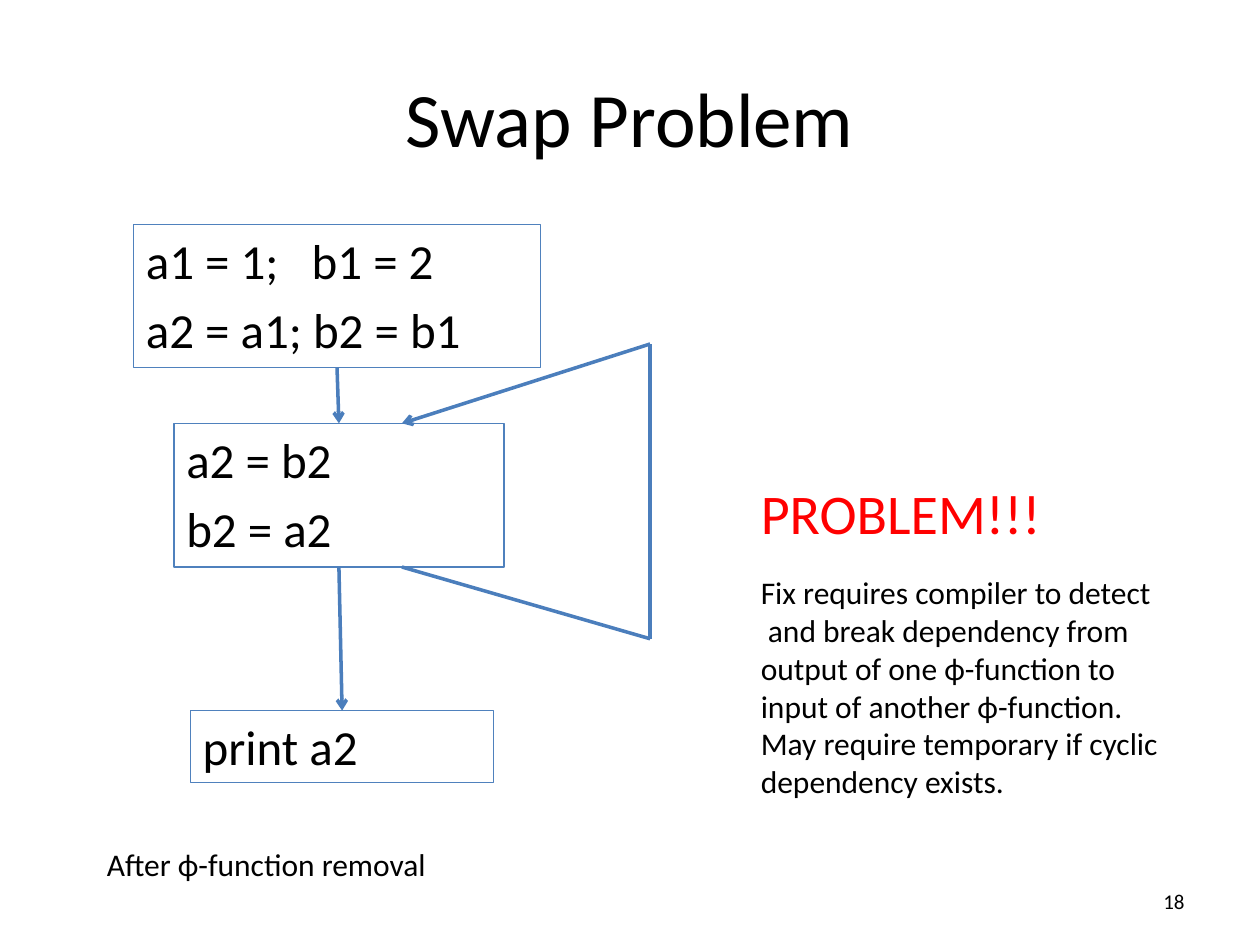
from lxml import etree
from pptx import Presentation
from pptx.dml.color import RGBColor
from pptx.enum.shapes import MSO_CONNECTOR, MSO_SHAPE
from pptx.enum.text import MSO_ANCHOR, PP_ALIGN
from pptx.oxml.ns import qn
from pptx.util import Inches, Pt

LEFT, CENTER, RIGHT = PP_ALIGN.LEFT, PP_ALIGN.CENTER, PP_ALIGN.RIGHT
TOP, MIDDLE = MSO_ANCHOR.TOP, MSO_ANCHOR.MIDDLE
RECT, LINE = MSO_SHAPE.RECTANGLE, MSO_CONNECTOR.STRAIGHT

FONT = "Calibri"
COLORS = {"text": "000000", "alert": "FF0000", "border": "4F81BD", "arrow": "4B7EBC"}

LABELS = [
    (["Swap Problem"], (0.5, 0.3, 9, 1.25), 44, "text", CENTER, MIDDLE, True),
    (["18"], (7.17, 6.95, 2.33, 0.4), 12, "text", RIGHT, MIDDLE, True),
    (["After ϕ-function removal"], (0.75, 6.66, 3.17, 0.4), 18, "text", LEFT, TOP, False),
    (["PROBLEM!!!"], (5.94, 3.75, 2.6, 0.64), 32, "alert", LEFT, TOP, False),
    (["Fix requires compiler to detect",
      " and break dependency from",
      "output of one ϕ-function to",
      "input of another ϕ-function.",
      "May require temporary if cyclic",
      "dependency exists."], (5.94, 4.5, 4, 1.92), 18, "text", LEFT, TOP, False),
]
BLOCKS = [
    (["a1 = 1;   b1 = 2", "a2 = a1; b2 = b1"], (1.06, 1.78, 3.23, 1.14)),
    (["a2 = b2", "b2 = a2"], (1.38, 3.36, 2.62, 1.14)),
    (["print a2"], (1.51, 5.64, 2.41, 0.57)),
]
LOOP = [(3.19, 4.5), (5.16, 5.07), (5.16, 2.73), (3.19, 3.36)]


def color(name):
    return RGBColor.from_string(COLORS[name])


def write(shape, lines, size, tint="text", align=LEFT, anchor=TOP, wrap=True, gap=0):
    frame = shape.text_frame
    frame.word_wrap = wrap
    frame.vertical_anchor = anchor
    frame.text = "\n".join(lines)
    for i, para in enumerate(frame.paragraphs):
        para.alignment = align
        para.space_before = Pt(gap if i else 0)
        para.font.name = FONT
        para.font.size = Pt(size)
        para.font.color.rgb = color(tint)


def add_block(slide, lines, box):
    block = slide.shapes.add_shape(RECT, *map(Inches, box))
    block.shadow.inherit = False
    block.fill.background()
    block.line.color.rgb = color("border")
    block.line.width = Pt(0.75)
    write(block, lines, 28, gap=5.6)
    return block


def add_line(slide, start, end, arrow):
    line = slide.shapes.add_connector(LINE, *map(Inches, (*start, *end)))
    line.line.color.rgb = color("arrow")
    line.line.width = Pt(2)
    if arrow:
        etree.SubElement(line.line._get_or_add_ln(), qn("a:tailEnd"), type="arrow")
    etree.SubElement(line._element.spPr, qn("a:effectLst"))
    return line


def main():
    deck = Presentation()
    deck.slide_width, deck.slide_height = Inches(10), Inches(7.5)
    slide = deck.slides.add_slide(deck.slide_layouts[6])

    for lines, box, *style in LABELS:
        write(slide.shapes.add_textbox(*map(Inches, box)), lines, *style)

    blocks = [add_block(slide, *block) for block in BLOCKS]
    for upper, lower in zip(blocks, blocks[1:]):
        link = add_line(slide, (0, 0), (0, 0), True)
        link.begin_connect(upper, 2)
        link.end_connect(lower, 0)

    for start, end in zip(LOOP, LOOP[1:]):
        add_line(slide, start, end, end == LOOP[-1])

    deck.save("out.pptx")


if __name__ == "__main__":
    main()
